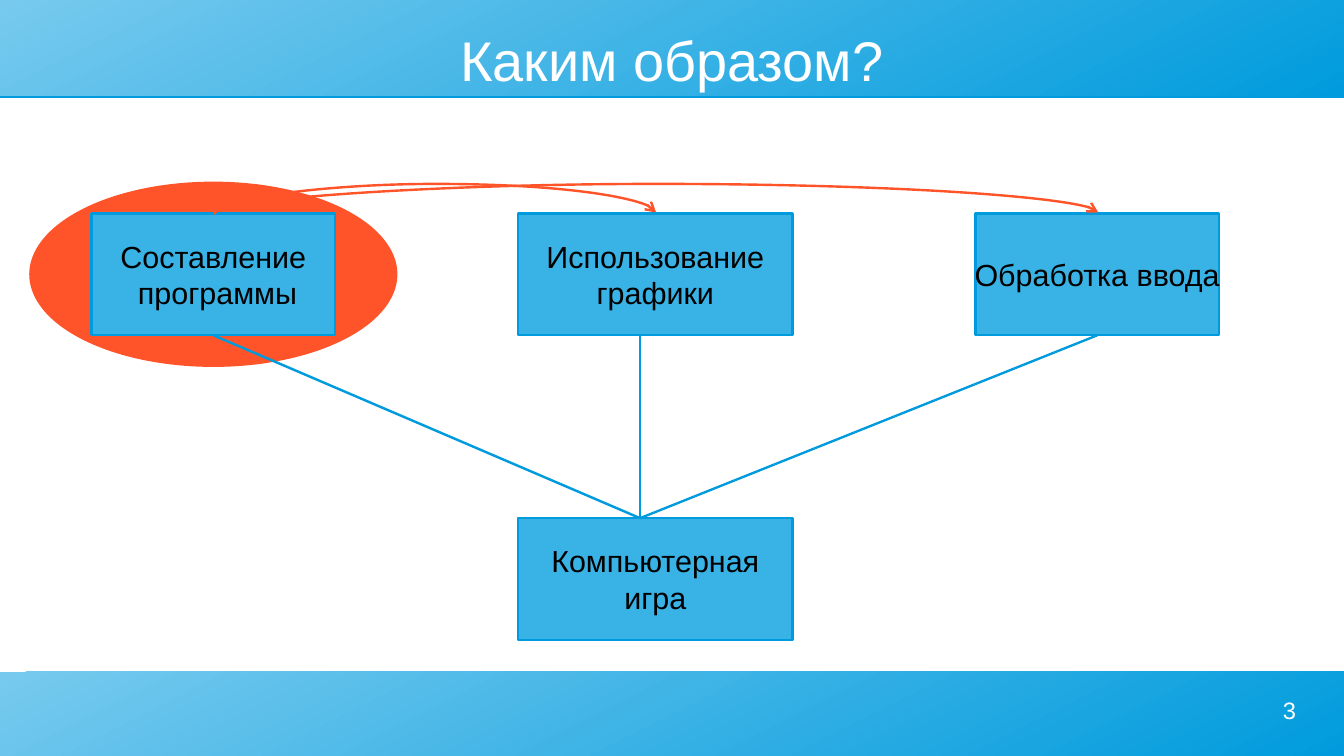
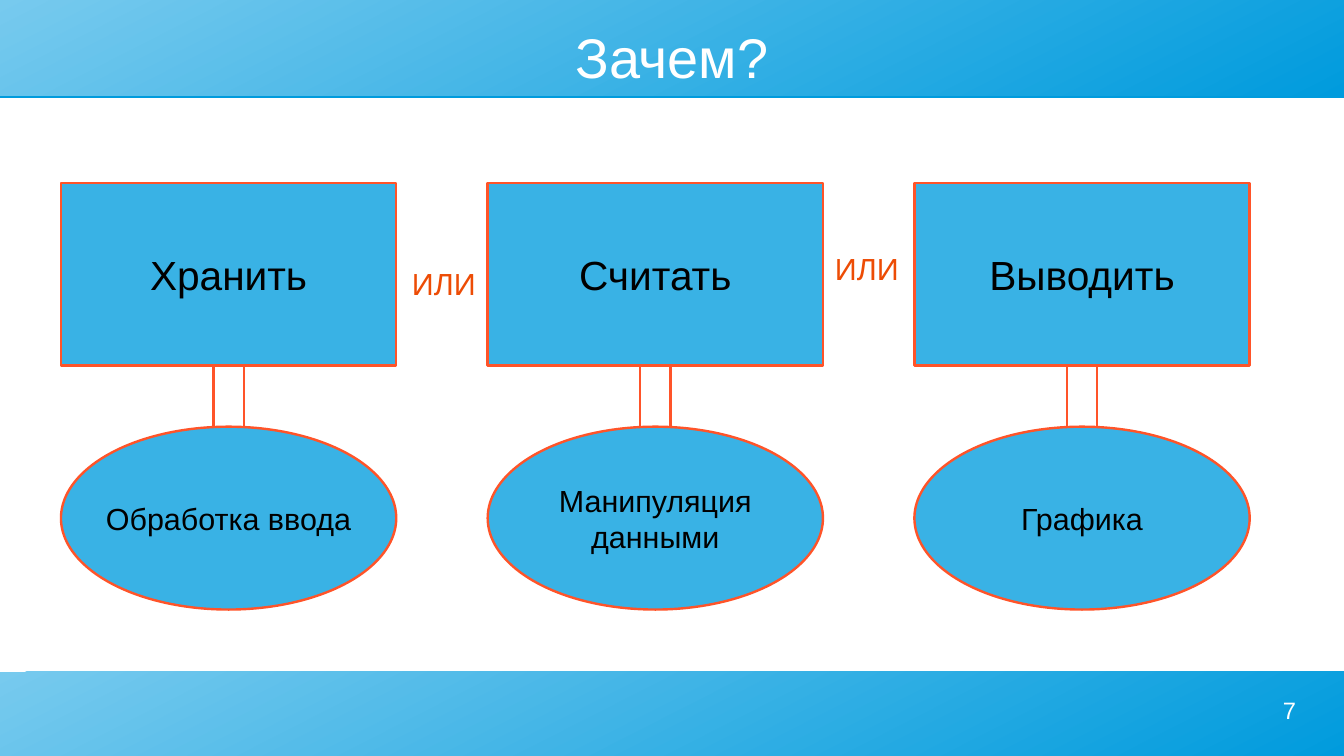
from lxml.etree import SubElement
from pptx import Presentation
from pptx.dml.color import RGBColor
from pptx.enum.shapes import MSO_CONNECTOR, MSO_SHAPE
from pptx.enum.text import MSO_ANCHOR, MSO_AUTO_SIZE, PP_ALIGN
from pptx.oxml.ns import qn
from pptx.util import Pt

HEX = {"pale": "77CAEE", "deep": "009BDD", "fill": "39B2E5", "red": "FF5429",
       "word": "ED4C05", "white": "FFFFFF", "black": "000000"}
WIDE, HIGH = 793.7, 446.46
LINE = 1.42
BANDS = [(0, 0, WIDE, 56.7), (0, 396.85, WIDE, 49.61)]
FLAT = {"margin_left": 0, "margin_right": 0, "margin_top": 0, "margin_bottom": 0}
MID = {"vertical_anchor": MSO_ANCHOR.MIDDLE, "word_wrap": False}
HEAD = {**FLAT, "vertical_anchor": MSO_ANCHOR.MIDDLE, "word_wrap": True,
        "auto_size": MSO_AUTO_SIZE.NONE}
PAGE = {**FLAT, "word_wrap": True}
LABEL = {"margin_right": 0, "word_wrap": True, "auto_size": MSO_AUTO_SIZE.NONE}

HOW = {"title": "Каким образом?", "top": 16.3, "page": "3"}
HALO = (18, 108, 216, 108)
PARTS = [("Составление\n программы", 54, 144), ("Использование\nграфики", 306, 162),
         ("Обработка ввода", 576, 144)]
GOAL = ("Компьютерная\nигра", 306, 162)
ROW, BASE, TALL = 126, 306, 72
HUB = 378
ENDS = [126, HUB, 648]
START, TIPS = 126.5, [387.5, 648.5]
RISE = 18

WHY = {"title": "Зачем?", "top": 14.4, "page": "7"}
PAIRS = [("Хранить", "Обработка ввода"), ("Считать", "Манипуляция\nданными"),
         ("Выводить", "Графика")]
LEFT, STEP, CELL, DEEP = 36, 252, 198, 108
UPPER, LOWER = 108, 252
RAILS = [90, 108]
ORS = [(236.2, 152.8), (486, 144)]


def tint(name):
    return RGBColor.from_string(HEX[name])


def place(item, box):
    for key, val in zip(("left", "top", "width", "height"), box):
        setattr(item, key, Pt(val))


def write(item, text, size, hue, form, side=PP_ALIGN.CENTER):
    frame = item.text_frame
    frame.text = text
    for key, val in form.items():
        setattr(frame, key, val)
    look = {"name": "Arial", "size": Pt(size), "bold": False}
    for para in frame.paragraphs:
        para.alignment = side
        for run in para.runs:
            for key, val in look.items():
                setattr(run.font, key, val)
            run.font.color.rgb = tint(hue)


def stroke(line, hue):
    line.color.rgb = tint(hue)
    line.width = Pt(LINE)


def shape(slide, kind, box, fill, edge):
    item = slide.shapes.add_shape(kind, *map(Pt, box))
    item.shadow.inherit = False
    item.fill.solid()
    item.fill.fore_color.rgb = tint(fill)
    stroke(item.line, edge)
    return item


def label(slide, text, box, size, hue, form, side):
    item = slide.shapes.add_textbox(*map(Pt, box))
    write(item, text, size, hue, form, side)


def link(slide, kind, ends, hue):
    item = slide.shapes.add_connector(kind, *map(Pt, ends))
    stroke(item.line, hue)
    SubElement(item.element.spPr, qn("a:effectLst"))
    return item


def curve(slide, tip):
    mid, half = (START + tip) / 2, (tip - START) / 2
    item = link(slide, MSO_CONNECTOR.CURVE,
                (mid + 0.5, ROW + half, mid - 0.5, ROW - half), "red")
    props = item.element.spPr
    props.find(qn("a:xfrm")).set("rot", "5400000")
    geom = props.find(qn("a:prstGeom"))
    vals = geom.find(qn("a:avLst"))
    if vals is None:
        vals = SubElement(geom, qn("a:avLst"))
    SubElement(vals, qn("a:gd"), name="adj1", fmla=f"val {RISE * 100000}")
    SubElement(props.find(qn("a:ln")), qn("a:tailEnd"), type="arrow")


def band(slide, layout, box, spot):
    item = slide.shapes.add_shape(MSO_SHAPE.RECTANGLE, *map(Pt, box))
    item.shadow.inherit = False
    item.line.fill.background()
    item.fill.gradient()
    item.fill.gradient_angle = 297
    for stop, hue in zip(item.fill.gradient_stops, ("pale", "deep")):
        stop.color.rgb = tint(hue)
    glow = SubElement(item.element.spPr.find(qn("a:effectLst")), qn("a:outerShdw"),
                      blurRad="0", dist=str(Pt(0.9)), dir="5400000",
                      algn="tl", rotWithShape="0")
    SubElement(glow, qn("a:srgbClr"), val=HEX["deep"])
    layout.shapes.element.insert(spot, item.element)


def start(deck, data):
    slide = deck.slides.add_slide(deck.slide_layouts[5])
    title = slide.shapes.title
    place(title, (28, data["top"], 737.6, 37.4))
    write(title, data["title"], 33, "white", HEAD)
    label(slide, data["page"], (581, 410.9, 184.4, 28), 14, "white", PAGE, PP_ALIGN.RIGHT)
    return slide


def how(slide):
    shape(slide, MSO_SHAPE.OVAL, HALO, "red", "red")
    for (text, left, wide), top in zip(PARTS + [GOAL], [ROW] * len(PARTS) + [BASE]):
        item = shape(slide, MSO_SHAPE.RECTANGLE, (left, top, wide, TALL), "fill", "deep")
        write(item, text, 18, "black", MID)
    for x in ENDS:
        link(slide, MSO_CONNECTOR.STRAIGHT, (x, ROW + TALL, HUB, BASE), "deep")
    for tip in TIPS:
        curve(slide, tip)


def why(slide):
    rows = [(MSO_SHAPE.RECTANGLE, UPPER, 24), (MSO_SHAPE.OVAL, LOWER, 18)]
    for col, pair in enumerate(PAIRS):
        left = LEFT + col * STEP
        for text, (kind, top, size) in zip(pair, rows):
            item = shape(slide, kind, (left, top, CELL, DEEP), "fill", "red")
            write(item, text, size, "black", MID)
        for rail in RAILS:
            x = left + rail
            link(slide, MSO_CONNECTOR.STRAIGHT, (x, UPPER + DEEP, x, LOWER), "red")
    for left, top in ORS:
        label(slide, "ИЛИ", (left, top, 51.8, 27.4), 18, "word", LABEL, PP_ALIGN.LEFT)


def main():
    deck = Presentation()
    deck.slide_width, deck.slide_height = Pt(WIDE), Pt(HIGH)
    first = start(deck, HOW)
    for spot, box in enumerate(BANDS, 2):
        band(first, deck.slide_layouts[5], box, spot)
    how(first)
    why(start(deck, WHY))
    deck.save("out.pptx")


if __name__ == "__main__":
    main()
